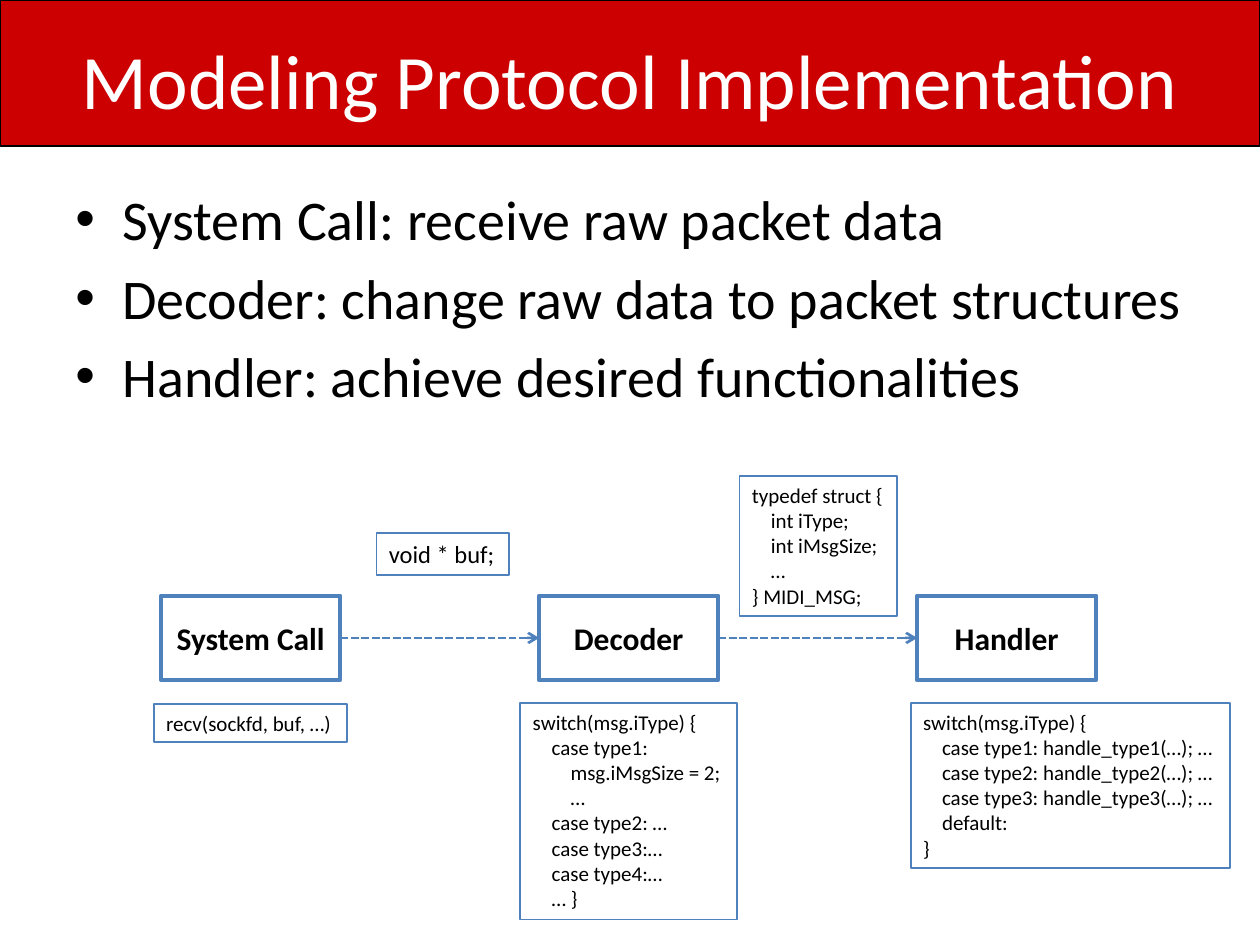
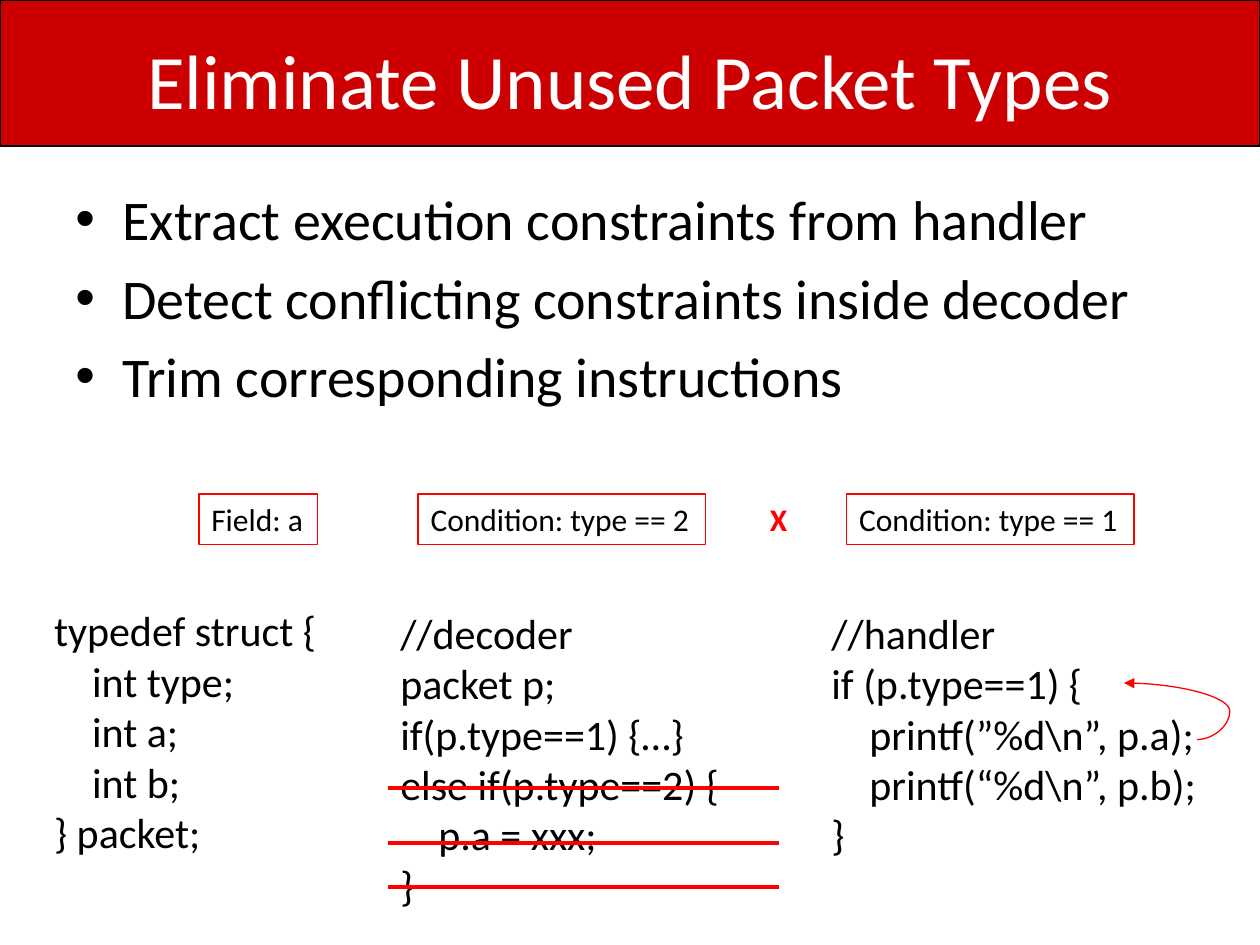
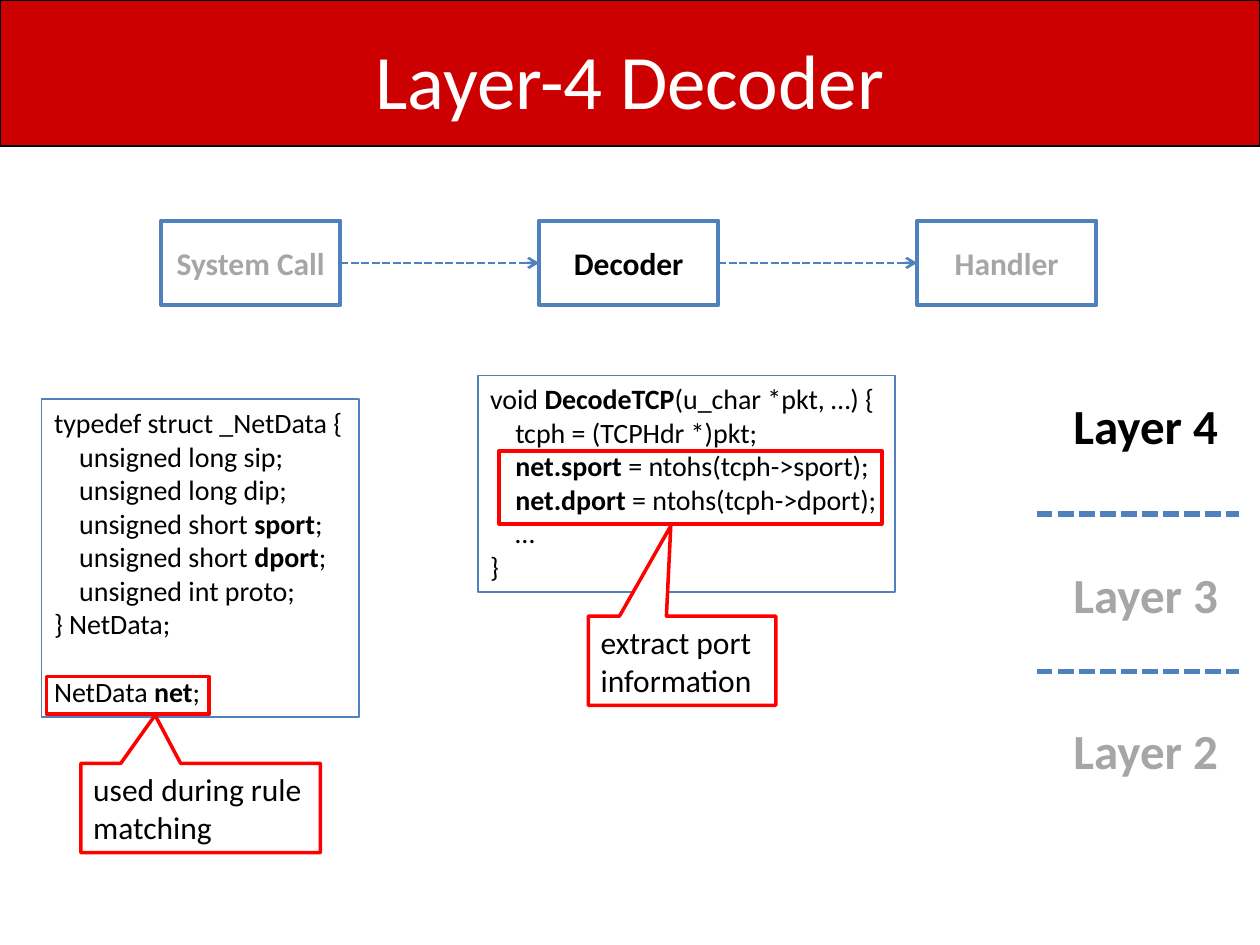
"""Build three slides on modeling and trimming protocol decoders."""
from lxml.etree import SubElement
from pptx import Presentation
from pptx.dml.color import RGBColor
from pptx.enum.dml import MSO_LINE
from pptx.enum.shapes import MSO_CONNECTOR, MSO_SHAPE
from pptx.enum.text import MSO_ANCHOR, MSO_AUTO_SIZE, PP_ALIGN
from pptx.oxml.ns import qn
from pptx.util import Cm, Pt

FONT = "Calibri"
BLACK, WHITE, GRAY = "000000", "FFFFFF", "A6A6A6"
BAND, BLUE, RED = "CC0000", "4F81BD", "FF0000"
hue = RGBColor.from_string


def box(slide, at, text="", size=18, edge=None, width=1, ink=BLACK, bold=None,
        align=PP_ALIGN.LEFT, fit=True, form=MSO_SHAPE.RECTANGLE, fill=None):
    """Add a framed or plain box; text between bars is bold."""
    place = [Cm(n) for n in at]
    if edge:
        shape = slide.shapes.add_shape(form, *place)
        shape.shadow.inherit = False
        shape.line.color.rgb = hue(edge)
        shape.line.width = Pt(width)
    else:
        shape = slide.shapes.add_textbox(*place)
    if fill:
        shape.fill.solid()
        shape.fill.fore_color.rgb = hue(fill)
    else:
        shape.fill.background()
    if not text:
        return shape
    frame = shape.text_frame
    frame.word_wrap = not fit
    frame.auto_size = MSO_AUTO_SIZE.SHAPE_TO_FIT_TEXT if fit else MSO_AUTO_SIZE.NONE
    frame.vertical_anchor = MSO_ANCHOR.TOP if fit else MSO_ANCHOR.MIDDLE
    for i, row in enumerate(text.split("\n")):
        para = frame.add_paragraph() if i else frame.paragraphs[0]
        para.alignment = align
        font = para.font
        font.name, font.size, font.bold = FONT, Pt(size), bold
        font.color.rgb = hue(ink)
        for j, part in enumerate(row.split("|")):
            if part:
                run = para.add_run()
                run.text = part
                if j % 2:
                    run.font.bold = True
    return shape


def link(slide, start, end, color, width, dash=None, head=None,
         kind=MSO_CONNECTOR.STRAIGHT):
    """Add a line with an optional dash and arrowhead."""
    line = slide.shapes.add_connector(kind, *[Cm(n) for n in start + end])
    line.line.color.rgb = hue(color)
    line.line.width = Pt(width)
    if dash:
        line.line.dash_style = dash
    props = line.element.spPr
    if head:
        SubElement(props.find(qn("a:ln")), qn("a:tailEnd"), type=head)
    SubElement(props, qn("a:effectLst"))
    return line


deck = Presentation()
deck.slide_width, deck.slide_height = Cm(25.4), Cm(19.05)

slides = []
for name in ("Modeling Protocol Implementation", "Eliminate Unused Packet Types",
             "Layer-4 Decoder"):
    slide = deck.slides.add_slide(deck.slide_layouts[5])
    title = slide.shapes.title
    band = box(slide, (0, 0, 25.4, 2.95), edge=BLACK, fill=BAND)
    title.element.addprevious(band.element)
    title.left, title.top, title.width, title.height = Cm(1.27), Cm(0), Cm(22.86), Cm(3.18)
    title.text_frame.text = name
    title.text_frame.vertical_anchor = MSO_ANCHOR.MIDDLE
    para = title.text_frame.paragraphs[0]
    para.alignment = PP_ALIGN.CENTER
    para.font.name, para.font.size = FONT, Pt(44)
    para.font.color.rgb = hue(WHITE)
    slides.append(slide)
model, trim, layer = slides

points = (
    (model, ("System Call: receive raw packet data",
             "Decoder: change raw data to packet structures",
             "Handler: achieve desired functionalities")),
    (trim, ("Extract execution constraints from handler",
            "Detect conflicting constraints inside decoder",
            "Trim corresponding instructions")),
)
for slide, rows in points:
    body = slide.shapes.add_textbox(Cm(1.27), Cm(3.6), Cm(22.86), Cm(12.57))
    frame = body.text_frame
    frame.word_wrap = True
    for i, row in enumerate(rows):
        para = frame.add_paragraph() if i else frame.paragraphs[0]
        para.text = row
        if i:
            para.space_before = Pt(6.4)
        props = para._p.get_or_add_pPr()
        props.set("marL", str(Cm(0.95)))
        props.set("indent", str(-Cm(0.95)))
        SubElement(props, qn("a:buFont"), typeface="Arial")
        SubElement(props, qn("a:buChar"), char="•")
        para.font.name, para.font.size = FONT, Pt(32)
        para.font.color.rgb = hue(BLACK)

for slide, top, pale in ((model, 12.01, BLACK), (layer, 4.45, GRAY)):
    last = None
    for i, (step, ink) in enumerate((("System Call", pale), ("Decoder", BLACK),
                                     ("Handler", pale))):
        left = 3.25 + 7.62 * i
        node = box(slide, (left, top, 3.61, 1.7), step, edge=BLUE, width=2.5,
                   ink=ink, bold=True, align=PP_ALIGN.CENTER, fit=False)
        if last:
            arrow = link(slide, (left - 4.01, top + 0.85), (left, top + 0.85),
                         BLUE, 1.5, MSO_LINE.SQUARE_DOT, "arrow")
            arrow.begin_connect(last, 3)
            arrow.end_connect(node, 1)
        last = node

box(model, (7.59, 10.74, 2.67, 0.86), "void * buf;", 14, BLUE)
codes = (
    ((14.91, 9.6, 3.18, 2.82), """typedef struct {
    int iType;
    int iMsgSize;
    …
} MIDI_MSG;"""),
    ((18.36, 14.17, 6.43, 3.33), """switch(msg.iType) {
    case type1: handle_type1(…); …
    case type2: handle_type2(…); …
    case type3: handle_type3(…); …
    default:
}"""),
    ((10.49, 14.17, 4.37, 4.37), """switch(msg.iType) {
    case type1:
        msg.iMsgSize = 2;
        …
    case type2: …
    case type3:…
    case type4:…
    … }"""),
    ((3.1, 14.2, 3.89, 0.76), "recv(sockfd, buf, …)"),
)
for at, code in codes:
    box(model, at, code, 12, BLUE)

lists = (
    ((7.82, 12.12, 7.01, 6.4), """//decoder
packet p;
if(p.type==1) {…}
else if(p.type==2) {
    p.a = xxx;
}"""),
    ((16.51, 12.12, 7.9, 5.38), """//handler
if (p.type==1) {
    printf(”%d\\n”, p.a);
    printf(“%d\\n”, p.b);
}"""),
    ((0.84, 12.07, 5.84, 5.38), """typedef struct {
    int type;
    int a;
    int b;
} packet;"""),
)
for at, code in lists:
    box(trim, at, code, 24)

curve = link(trim, (24.13, 14.91), (22.66, 13.77), RED, 0.75, head="triangle",
             kind=MSO_CONNECTOR.CURVE)
bends = curve.element.spPr.find(".//" + qn("a:avLst"))
SubElement(bends, qn("a:gd"), name="adj1", fmla="val -45200")
for y in (15.88, 16.99, 17.88):
    link(trim, (7.82, y), (15.7, y), RED, 2.5)

for left, wide, text in ((17.07, 5.79, "Condition: type == 1"),
                         (8.43, 5.79, "Condition: type == 2"),
                         (4.01, 2.39, "Field: a")):
    box(trim, (left, 9.96, wide, 1.02), text, edge=RED, width=0.75)
box(trim, (15.27, 9.96, 0.86, 1.02), "X", ink=RED, bold=True)

box(layer, (9.63, 7.57, 8.41, 4.37), """void |DecodeTCP|(u_char *pkt, …) {
    tcph = (TCPHdr *)pkt;
    |net.sport| = ntohs(tcph->sport);
    |net.dport| = ntohs(tcph->dport);
    …
}""", 16, BLUE)
box(layer, (0.84, 8.05, 6.4, 6.4), """typedef struct _NetData {
    unsigned long sip;
    unsigned long dip;
    unsigned short |sport|;
    unsigned short |dport|;
    unsigned int proto;
} NetData;

NetData |net|;""", 16, BLUE)

for top, text, ink in ((7.85, "Layer 4", BLACK), (11.25, "Layer 3", GRAY),
                       (14.4, "Layer 2", GRAY)):
    box(layer, (21.39, top, 3.48, 1.45), text, 28, ink=ink, bold=True)
for y in (10.36, 13.54):
    link(layer, (20.9, y), (24.97, y), BLUE, 3, MSO_LINE.SQUARE_DOT)

notes = (
    ((10.06, 9.09, 7.72, 1.47), (11.86, 12.42, 3.78, 1.8), (-0.06, -1.51),
     "extract port information"),
    ((0.94, 13.64, 3.28, 0.76), (1.63, 15.39, 4.83, 1.8), (-0.19, -1.04),
     "used during rule matching"),
)
for mark, at, tip, text in notes:
    box(layer, mark, edge=RED, width=2)
    note = box(layer, at, text, edge=RED, width=2, fit=False, fill=WHITE,
               form=MSO_SHAPE.RECTANGULAR_CALLOUT)
    note.adjustments[0], note.adjustments[1] = tip

deck.save("out.pptx")
